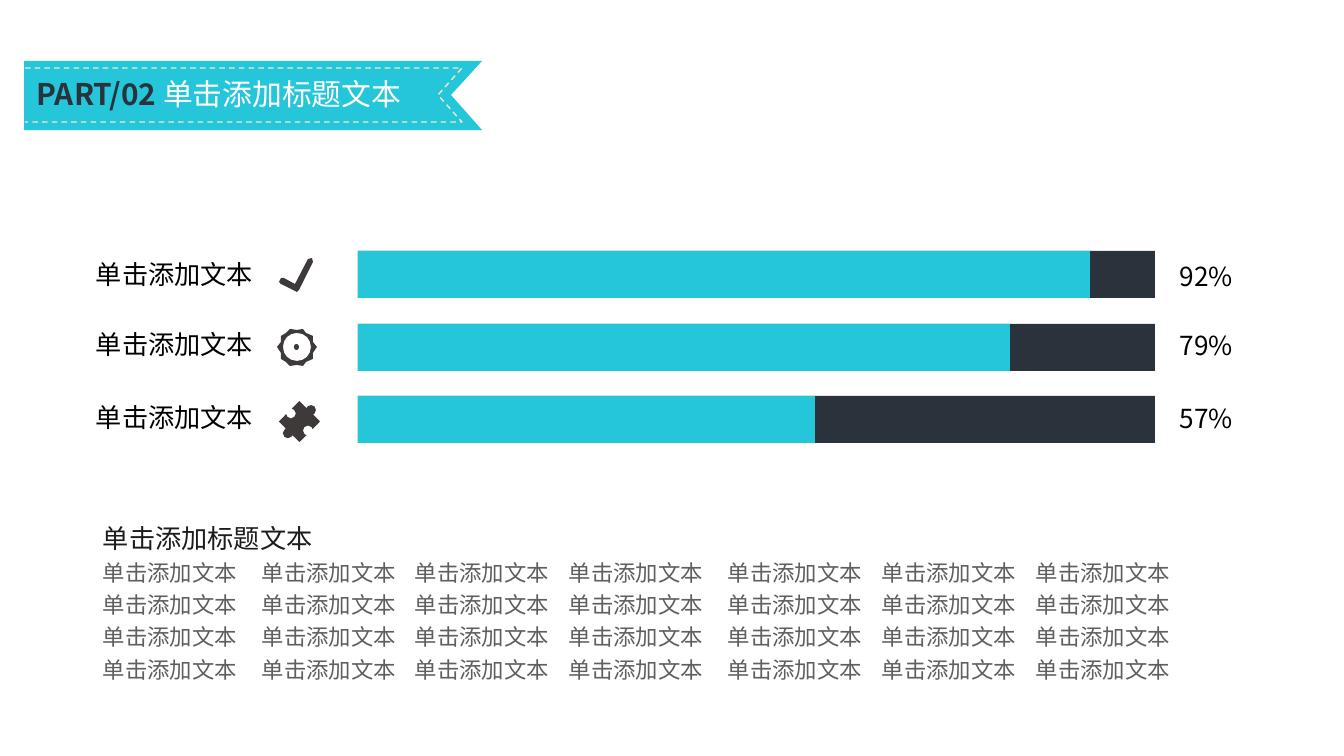
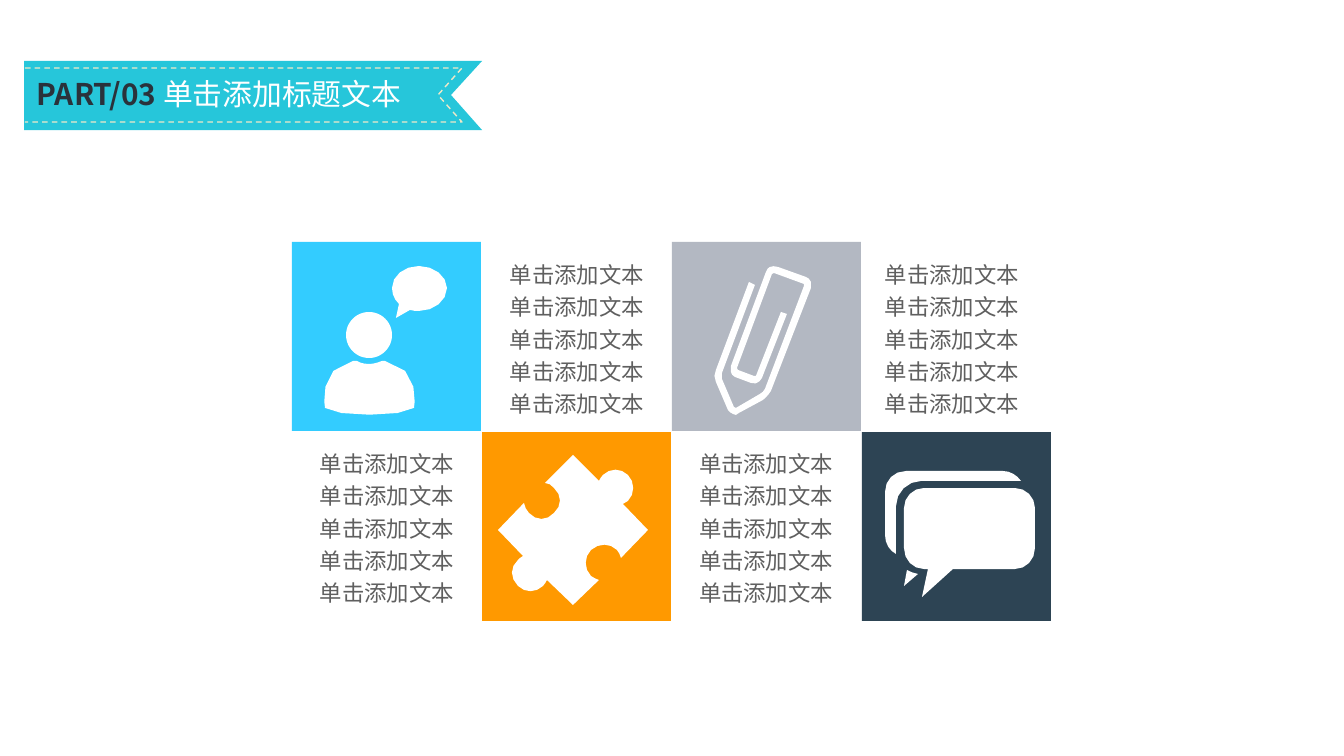
import math
from dataclasses import dataclass

from lxml import etree
from pptx import Presentation
from pptx import util as u
from pptx.dml.color import RGBColor
from pptx.enum import dml, shapes, text
from pptx.oxml import ns

PX = 914400 / 100.8
CYAN, DARK, GREY, WHITE, BLACK = "26C6DA", "2A323B", "5F5F5F", "FFFFFF", "000000"
ICON, STITCH, HEADING = "3E3A39", "EDE8C8", "1C1C1C"
CJK, LATIN = "Noto Sans CJK SC", "Arial"
SAMPLE, SAMPLE_TITLE = "单击添加文本", "单击添加标题文本"
CURVE_STEP, MAX_STEPS = 6, 4
TAB_STOPS = (159, 312, 466, 625, 779, 933)

Contour = tuple[tuple[int, ...], ...]


@dataclass
class Box:
    """A rectangle in pixels."""
    x: int
    y: int
    w: int
    h: int


@dataclass
class Icon:
    """Contours of line points (2 numbers) and curves (6 numbers), placed at x, y."""
    x: int
    y: int
    contours: tuple[Contour, ...]
    scale: float = 1


@dataclass
class Run:
    """Text with one format."""
    text: str
    size: float
    color: str
    font: str = CJK
    bold: bool = False


@dataclass
class Bar:
    """A progress bar with its label and share."""
    share: str
    fill_w: int
    label_y: int
    share_y: int
    icon: Icon


@dataclass
class Tile:
    """A coloured square with its icon parts and the text of its column."""
    color: str
    text_x: int
    icons: tuple[Icon, ...]
    ellipses: tuple[Box, ...] = ()


RIBBON = Icon(24, 61, (((458, 69), (0, 69), (0, 0), (458, 0), (427, 34)),))
SEAM = Icon(25, 68, (((0, 0), (437, 0), (413, 27), (437, 54), (0, 54)),))

PUZZLE: Contour = (
    (105, 20), (103, 22, 102, 24, 101, 26), (75, 0), (47, 28),
    (50, 28, 54, 30, 56, 33), (64, 40, 64, 51, 56, 58),
    (49, 66, 38, 66, 31, 58), (28, 55, 27, 52, 26, 48), (0, 75), (25, 101),
    (23, 102, 21, 104, 20, 105), (12, 112, 12, 123, 20, 131),
    (27, 138, 38, 138, 45, 131), (47, 129, 48, 127, 49, 125), (75, 150),
    (101, 125), (98, 124, 96, 123, 93, 121), (86, 114, 86, 102, 93, 95),
    (101, 88, 112, 88, 119, 95), (121, 97, 122, 100, 123, 103), (150, 75),
    (125, 49), (126, 48, 128, 47, 130, 46), (137, 39, 137, 27, 130, 20),
    (123, 13, 112, 13, 105, 20))
CHECK: Contour = (
    (33, 1), (32, 0, 30, 0, 29, 2), (16, 27), (5, 21), (2, 21), (0, 25),
    (2, 27), (16, 34), (18, 35), (20, 33), (34, 5), (35, 3, 34, 2, 33, 1))
GEAR_RIM: Contour = (
    (36, 13), (36, 7), (29, 4), (26, 0), (20, 1), (13, 0), (9, 4), (4, 7),
    (4, 13), (0, 18), (4, 24), (4, 30), (9, 33), (13, 37), (20, 36), (26, 37),
    (29, 33), (36, 30), (36, 24), (40, 18))
GEAR_HOLE: Contour = (
    (20, 32), (12, 32, 6, 26, 6, 18), (6, 10, 12, 4, 20, 4),
    (28, 4, 34, 10, 34, 18), (34, 26, 28, 32, 20, 32))
SPEECH: Contour = (
    (27, 0), (12, 0, 0, 10, 0, 22), (0, 29, 3, 34, 7, 38), (4, 52), (18, 44),
    (21, 45, 24, 45, 27, 45), (42, 45, 55, 35, 55, 22), (55, 10, 42, 0, 27, 0))
SHOULDERS: Contour = (
    (68, 0), (65, 0), (60, 2, 56, 3, 52, 3), (47, 3, 43, 2, 40, 0), (36, 0),
    (0, 6, 8, 47, 8, 47), (17, 56, 88, 56, 97, 47), (97, 47, 105, 6, 68, 0))
PAPERCLIP: Contour = (
    (22, 149), (19, 148), (17, 147, 15, 146, 14, 144),
    (2, 116), (0, 113, 0, 107, 2, 104), (35, 16), (41, 19), (8, 107),
    (7, 108, 7, 112, 8, 113), (20, 141), (22, 142), (46, 128),
    (48, 127, 50, 125, 51, 123), (90, 20), (90, 18), (60, 7), (58, 8),
    (23, 102), (24, 104), (40, 110), (42, 110), (67, 46),
    (73, 48), (48, 112), (46, 116, 42, 119, 37, 117), (21, 111),
    (19, 110, 17, 108, 17, 106), (16, 104, 16, 102, 17, 100), (52, 6),
    (53, 3, 54, 2, 56, 1), (58, 0, 61, 0, 64, 1), (92, 11),
    (94, 12, 96, 13, 97, 16), (97, 18, 97, 20, 97, 22), (57, 125),
    (55, 128, 52, 132, 49, 134), (25, 147))
FRONT_BUBBLE: Contour = (
    (111, 0), (20, 0), (9, 0, 0, 9, 0, 20), (0, 60), (0, 72, 9, 81, 20, 81),
    (24, 81), (18, 109), (49, 81), (111, 81), (122, 81, 131, 72, 131, 60),
    (131, 20), (131, 9, 122, 0, 111, 0))
BACK_BUBBLE: Contour = (
    (11, 35), (11, 21, 23, 10, 36, 10), (132, 10), (136, 10),
    (132, 4, 125, 0, 118, 0), (21, 0), (9, 0, 0, 9, 0, 21), (0, 64),
    (0, 73, 5, 80, 11, 83))
BACK_TAIL: Contour = ((0, 16), (14, 4), (10, 3, 6, 2, 3, 0))

BARS = (
    Bar("92%", 732, 253, 255, Icon(279, 257, (CHECK,))),
    Bar("79%", 652, 323, 324, Icon(277, 329, (GEAR_RIM, GEAR_HOLE))),
    Bar("57%", 457, 396, 397, Icon(279, 401, (PUZZLE,), 41 / 150)),
)
TILES = (
    Tile("33CCFF", 309, (Icon(392, 266, (SPEECH,)), Icon(317, 361, (SHOULDERS,))),
         (Box(346, 312, 46, 46),)),
    Tile("FF9900", 499, (Icon(498, 455, (PUZZLE,)),)),
    Tile("B3B8C2", 688, (Icon(714, 266, (PAPERCLIP,)),)),
    Tile("2D4454", 874, (Icon(904, 488, (FRONT_BUBBLE,)), Icon(885, 471, (BACK_BUBBLE,)),
                         Icon(904, 570, (BACK_TAIL,)))),
)


def emu(px: float) -> u.Emu:
    """Turn pixels into EMU."""
    return u.Emu(round(px * PX))


def rgb(color: str) -> RGBColor:
    """Turn a hex string into a colour."""
    return RGBColor.from_string(color)


def paint(sp, color: str) -> None:
    """Give a shape a flat fill without line or shadow."""
    sp.shadow.inherit = False
    sp.fill.solid()
    sp.fill.fore_color.rgb = rgb(color)
    sp.line.fill.background()


def add_preset(s, kind, box: Box, color: str) -> None:
    """Draw a flat preset shape."""
    paint(s.shapes.add_shape(kind, emu(box.x), emu(box.y), emu(box.w), emu(box.h)), color)


def flatten(contour: Contour, scale: float) -> list[tuple[float, float]]:
    """Turn lines and cubic curves into few points, more for longer curves."""
    points = [contour[0]]
    for step in contour[1:]:
        if len(step) == 2:
            points.append(step)
            continue
        controls = (points[-1], step[:2], step[2:4], step[4:])
        span = math.dist(controls[0], controls[3]) * scale
        count = min(MAX_STEPS, math.ceil(span / CURVE_STEP))
        for i in range(1, count + 1):
            t = i / count
            weights = ((1 - t) ** 3, 3 * t * (1 - t) ** 2, 3 * t * t * (1 - t), t ** 3)
            points.append(tuple(sum(w * c[axis] for w, c in zip(weights, controls))
                                for axis in (0, 1)))
    return points


def add_icon(s, icon: Icon, closed: bool = True):
    """Draw the contours of an icon as one freeform."""
    builder = None
    for contour in icon.contours:
        points = [(emu(icon.x + x * icon.scale), emu(icon.y + y * icon.scale))
                  for x, y in flatten(contour, icon.scale)]
        if builder is None:
            builder = s.shapes.build_freeform(*points[0])
        else:
            builder.move_to(*points[0])
        builder.add_line_segments(points[1:], close=closed)
    return builder.convert_to_shape()


def add_text(s, box: Box, lines: list[list[Run]], wrap: bool = False,
             spacing: float | None = None, align=text.PP_ALIGN.LEFT,
             tabs: tuple[int, ...] = ()) -> None:
    """Write paragraphs of formatted runs."""
    tf = s.shapes.add_textbox(emu(box.x), emu(box.y), emu(box.w), emu(box.h)).text_frame
    tf.word_wrap = wrap
    tf.auto_size = text.MSO_AUTO_SIZE.SHAPE_TO_FIT_TEXT
    for i, line in enumerate(lines):
        p = tf.add_paragraph() if i else tf.paragraphs[0]
        p.alignment = align
        if spacing:
            p.line_spacing = spacing
        if tabs:
            tab_list = etree.SubElement(p._p.get_or_add_pPr(), ns.qn("a:tabLst"))
            for stop in tabs:
                etree.SubElement(tab_list, ns.qn("a:tab"), pos=str(emu(stop)), algn="l")
        for run in line:
            r = p.add_run()
            r.text = run.text
            r.font.size = u.Pt(run.size)
            r.font.bold = run.bold
            r.font.name = run.font
            r.font.color.rgb = rgb(run.color)
            etree.SubElement(r._r.get_or_add_rPr(), ns.qn("a:ea"), typeface=CJK)


def add_titled_slide(prs, part: str):
    """Add a blank slide with the ribbon title."""
    s = prs.slides.add_slide(prs.slide_layouts[6])
    paint(add_icon(s, RIBBON), CYAN)
    seam = add_icon(s, SEAM, closed=False)
    seam.shadow.inherit = False
    seam.fill.background()
    seam.line.color.rgb = rgb(STITCH)
    seam.line.width = u.Pt(1)
    seam.line.dash_style = dml.MSO_LINE.DASH
    add_text(s, Box(27, 71, 402, 46), [[Run(f"{part} ", 21.3, DARK, bold=True),
                                        Run(SAMPLE_TITLE, 21.3, WHITE, LATIN)]])
    return s


def build_bars(prs) -> None:
    """Build the slide of progress bars."""
    s = add_titled_slide(prs, "PART/02")
    rect = shapes.MSO_SHAPE.RECTANGLE
    for i, bar in enumerate(BARS):
        y = 251 + (145 * i + 1) // 2
        paint(add_icon(s, bar.icon), ICON)
        add_preset(s, rect, Box(358, y, 797, 47), DARK)
        add_preset(s, rect, Box(358, y, bar.fill_w, 47), CYAN)
        add_text(s, Box(86, bar.label_y, 178, 42), [[Run(SAMPLE, 18.7, BLACK)]])
        add_text(s, Box(1170, bar.share_y, 75, 42), [[Run(bar.share, 18.7, BLACK)]])
    add_preset(s, shapes.MSO_SHAPE.OVAL, Box(294, 344, 5, 6), ICON)
    row = "\t".join([SAMPLE] * (len(TAB_STOPS) + 1))
    add_text(s, Box(93, 511, 1159, 178),
             [[Run(SAMPLE_TITLE, 18.7, HEADING, LATIN)]] + [[Run(row, 16, GREY, LATIN)]] * 4,
             wrap=True, spacing=1.2, tabs=TAB_STOPS)


def build_tiles(prs) -> None:
    """Build the slide of tiles and texts in a checker pattern."""
    s = add_titled_slide(prs, "PART/03")
    for col, tile in enumerate(TILES):
        row = col % 2
        add_preset(s, shapes.MSO_SHAPE.RECTANGLE,
                   Box(292 + 190 * col, 242 + 190 * row, 189, 189), tile.color)
        for icon in tile.icons:
            paint(add_icon(s, icon), WHITE)
        for box in tile.ellipses:
            add_preset(s, shapes.MSO_SHAPE.OVAL, box, WHITE)
        add_text(s, Box(tile.text_x, 251 + 189 * (1 - row), 156, 173),
                 [[Run(SAMPLE, 16, GREY)]] * 5, spacing=1.2, align=text.PP_ALIGN.CENTER)


def main() -> None:
    """Build and save the presentation."""
    prs = Presentation()
    prs.slide_width, prs.slide_height = emu(1344), emu(756)
    build_bars(prs)
    build_tiles(prs)
    prs.save("out.pptx")


main()
